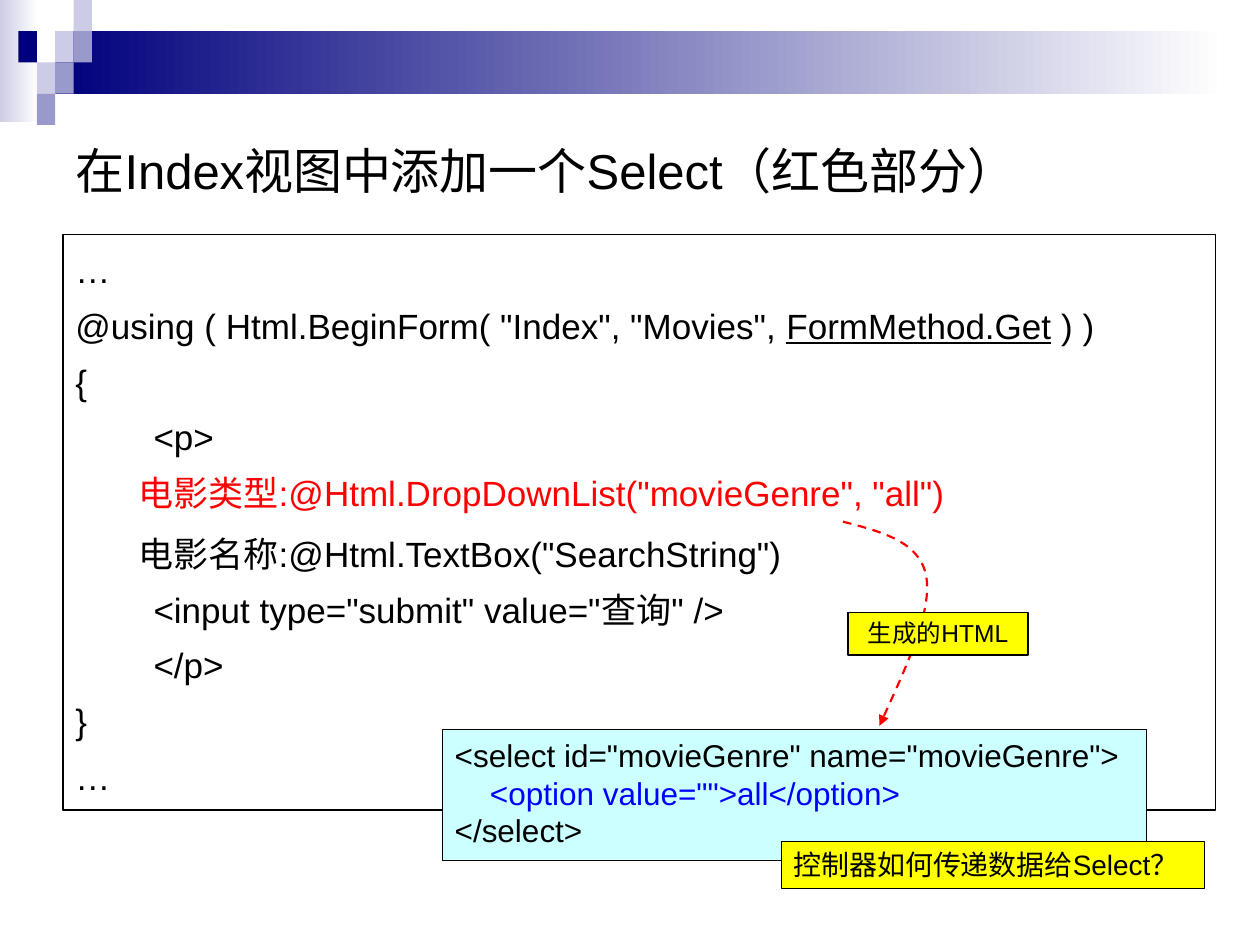
import pptx
import pptx.dml.color
import pptx.enum.dml
import pptx.enum.shapes
import pptx.enum.text
import pptx.oxml
import pptx.oxml.ns
import pptx.util

Inches, Pt = pptx.util.Inches, pptx.util.Pt
qn = pptx.oxml.ns.qn
RECTANGLE = pptx.enum.shapes.MSO_SHAPE.RECTANGLE
ANCHOR = pptx.enum.text.MSO_ANCHOR
ALIGN = pptx.enum.text.PP_ALIGN

FONT = "Arial"
BLACK, RED, BLUE, YELLOW, CYAN = "000000", "FF0000", "0000FF", "FFFF00", "CCFFFF"
NAVY, MID, PALE, WHITE = "00007D", "9999CC", "CCCCE6", "FFFFFF"

TITLE = "在Index视图中添加一个Select（红色部分）"
# Each paragraph: indent in inches, then spans of (text, colour, underlined)
VIEW_CODE = [
    (0, [("…", BLACK, False)]),
    (0, [('@using ( Html.BeginForm( "Index", "Movies", ', BLACK, False),
         ("FormMethod.Get", BLACK, True), (" ) )", BLACK, False)]),
    (0, [("{", BLACK, False)]),
    (0.62, [("<p>", BLACK, False)]),
    (0.5, [('电影类型:@Html.DropDownList("movieGenre", "all")', RED, False)]),
    (0.5, [('电影名称:@Html.TextBox("SearchString")', BLACK, False)]),
    (0.62, [('<input type="submit" value="查询" />', BLACK, False)]),
    (0.62, [("</p>", BLACK, False)]),
    (0, [("}", BLACK, False)]),
    (0, [("…", BLACK, False)]),
]
HTML_CODE = [
    (0, [('<select id="movieGenre" name="movieGenre">', BLACK, False)]),
    (0.28, [('<option value="">all</option>', BLUE, False)]),
    (0, [("</select>", BLACK, False)]),
]
RESULT_LABEL = [(0, [("生成的HTML", BLACK, False)])]
QUESTION = [(0, [("控制器如何传递数据给Select？", BLACK, False)])]

# Corner mosaic: column, row, colour on a grid of small tiles
TILE_WIDTH, TILE_HEIGHT = 0.146, 0.248
TILES = [(3, 1, PALE), (4, 0, PALE), (4, 1, MID), (2, 2, PALE),
         (1, 1, NAVY), (3, 2, MID), (2, 3, MID)]
# Start point, then control, control, end for each curve
ARROW = [(6.69, 4.14), (7, 4.22), (7.3, 4.3), (7.35, 4.57),
         (7.4, 4.84), (7.19, 5.3), (6.98, 5.76)]


def colour(value):
    """Turn a hex string into a colour."""
    return pptx.dml.color.RGBColor.from_string(value)


def add_box(page, area, fill=None, line=None):
    """Add a rectangle; a pair of fills makes a left-to-right gradient."""
    box = page.shapes.add_shape(RECTANGLE, *[Inches(length) for length in area])
    box.shadow.inherit = False
    if fill is None:
        box.fill.background()
    elif isinstance(fill, tuple):
        box.fill.gradient()
        box.fill.gradient_angle = 0
        for position, (stop, value) in enumerate(zip(box.fill.gradient_stops, fill)):
            stop.color.rgb = colour(value)
            stop.position = position
    else:
        box.fill.solid()
        box.fill.fore_color.rgb = colour(fill)
    if line is None:
        box.line.fill.background()
    else:
        box.line.color.rgb = colour(line)
        box.line.width = Pt(0.75)
    return box


def write(box, paragraphs, size, align=ALIGN.LEFT, line_spacing=None, space_after=None):
    """Fill a box with indented, coloured paragraphs."""
    frame = box.text_frame
    frame.word_wrap = True
    frame.vertical_anchor = ANCHOR.TOP
    for index, (indent, spans) in enumerate(paragraphs):
        para = frame.paragraphs[0] if index == 0 else frame.add_paragraph()
        para.alignment = align
        para.font.name, para.font.size = FONT, Pt(size)
        if line_spacing:
            para.line_spacing = line_spacing
        if space_after:
            para.space_after = Pt(space_after)
        if indent:
            para._p.get_or_add_pPr().set("marL", str(Inches(indent)))
        for text, value, underlined in spans:
            span = para.add_run()
            span.text = text
            span.font.color.rgb = colour(value)
            if underlined:
                span.font.underline = True


def add_curved_arrow(page, points):
    """Draw a dashed red Bezier curve with an arrowhead at its end."""
    start, *others = [(Inches(x), Inches(y)) for x, y in points]
    builder = page.shapes.build_freeform(*start)
    builder.add_line_segments(others, close=False)
    arrow = builder.convert_to_shape()
    arrow.shadow.inherit = False
    arrow.fill.background()
    arrow.line.color.rgb = colour(RED)
    arrow.line.width = Pt(1.25)
    arrow.line.dash_style = pptx.enum.dml.MSO_LINE.DASH
    segments = list(arrow._element.iter(qn("a:lnTo")))
    for first, second, third in zip(*[iter(segments)] * 3):
        first.tag = qn("a:cubicBezTo")
        for segment in (second, third):
            first.append(segment[0])
            segment.getparent().remove(segment)
    head = pptx.oxml.parse_xml(
        '<a:tailEnd xmlns:a="http://schemas.openxmlformats.org/drawingml/2006/main" type="triangle"/>')
    arrow.line._get_or_add_ln().append(head)


def add_title(page, text):
    """Place and format the title placeholder."""
    title = page.shapes.title
    title.left, title.top, title.width, title.height = map(Inches, (0.5, 0.99, 9, 0.71))
    title.text_frame.text = text
    title.text_frame.vertical_anchor = ANCHOR.MIDDLE
    para = title.text_frame.paragraphs[0]
    para.alignment = ALIGN.LEFT
    para.font.name, para.font.size = FONT, Pt(28)
    para.font.color.rgb = colour(BLACK)


deck = pptx.Presentation()
deck.slide_width, deck.slide_height = Inches(10), Inches(7.5)
page = deck.slides.add_slide(deck.slide_layouts[5])

add_box(page, (0, 0, 0.3, 0.97), (PALE, WHITE))
add_box(page, (0.44, 0.25, 9.29, 0.5), (NAVY, WHITE))
for column, row, value in TILES:
    add_box(page, (column * TILE_WIDTH, row * TILE_HEIGHT, TILE_WIDTH, TILE_HEIGHT), value)

add_title(page, TITLE)
view_box = add_box(page, (0.5, 1.86, 9.15, 4.57), line=BLACK)
write(view_box, VIEW_CODE, 20, line_spacing=1.2, space_after=3)
view_box.text_frame.paragraphs[4].space_after = Pt(6)
write(add_box(page, (3.51, 5.79, 5.59, 1.04), CYAN, BLACK), HTML_CODE, 18)
add_curved_arrow(page, ARROW)
write(add_box(page, (6.73, 4.86, 1.43, 0.34), YELLOW, BLACK), RESULT_LABEL, 14, ALIGN.CENTER)
write(add_box(page, (6.2, 6.68, 3.36, 0.37), YELLOW, BLACK), QUESTION, 16)

deck.save("out.pptx")
